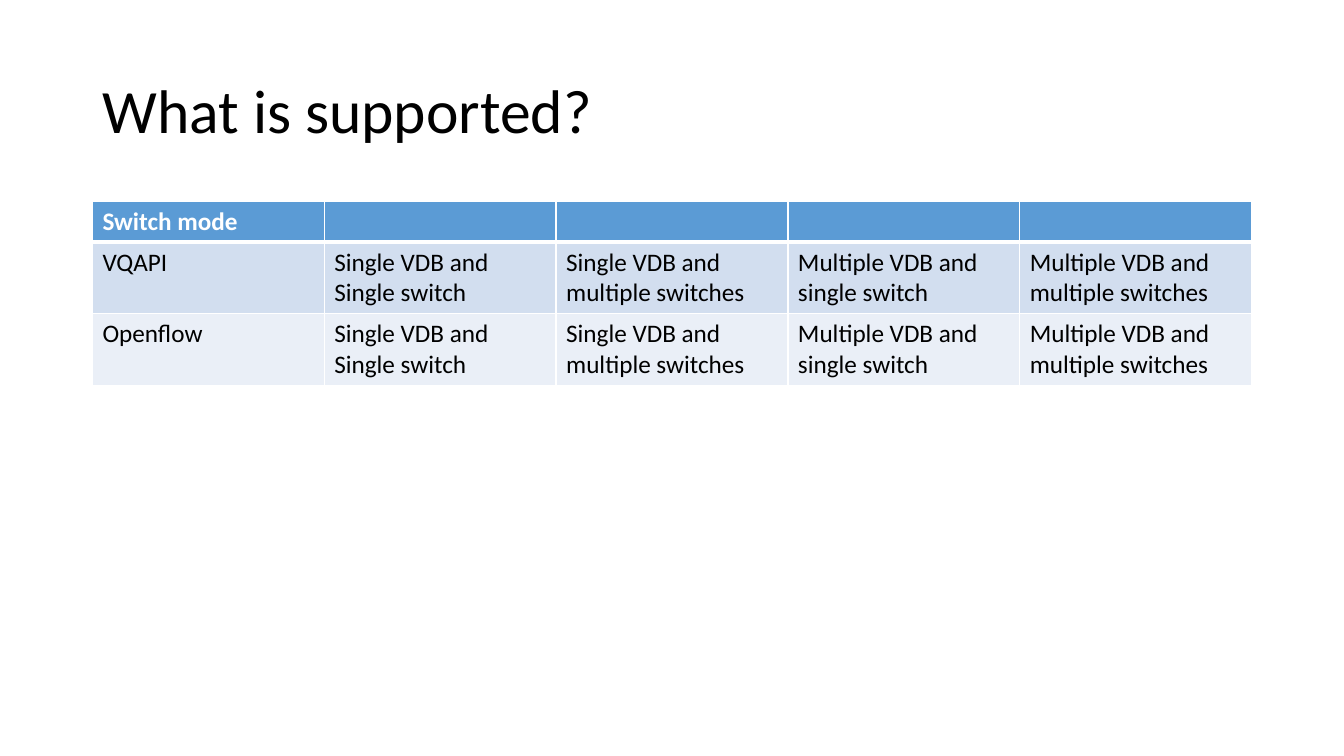
from pptx import Presentation
from pptx.dml.color import RGBColor
from pptx.enum.text import MSO_ANCHOR as Anchor, PP_ALIGN as Align
from pptx.oxml import parse_xml
from pptx.oxml.ns import nsdecls
from pptx.util import Cm, Pt


def color(value):
    """Turn a hex string into a colour."""
    return RGBColor.from_string(value)


class SlideBuilder:
    """Hold the style and the current slide."""

    font = "Calibri"
    black = "000000"
    white = "FFFFFF"
    header_fill = "5B9BD5"
    band_fills = ("D2DEEF", "EAEFF7")

    def __init__(self, presentation):
        """Add a title-only slide."""
        self.slide = presentation.slides.add_slide(presentation.slide_layouts[5])

    def add_run(self, paragraph, text, size, text_color, bold=False):
        """Add one formatted run to a paragraph."""
        run = paragraph.add_run()
        run.text = text
        run.font.name = self.font
        run.font.size = Pt(size)
        run.font.bold = bold
        run.font.color.rgb = color(text_color)

    def add_title(self, text, left, top, width, height):
        """Place and fill the title placeholder."""
        title = self.slide.shapes.title
        title.left, title.top = Cm(left), Cm(top)
        title.width, title.height = Cm(width), Cm(height)
        frame = title.text_frame
        frame.word_wrap = True
        frame.vertical_anchor = Anchor.MIDDLE
        paragraph = frame.paragraphs[0]
        paragraph.alignment = Align.LEFT
        paragraph.line_spacing = 0.9
        self.add_run(paragraph, text, 44, self.black)

    def set_borders(self, cell, top, bottom):
        """Draw the white borders of a cell, with widths in points."""
        properties = cell._tc.get_or_add_tcPr()
        widths = {"L": 1, "R": 1, "T": top, "B": bottom}
        for index, (side, width) in enumerate(widths.items()):
            border = parse_xml(
                f'<a:ln{side} {nsdecls("a")} w="{Pt(width)}"><a:solidFill>'
                f'<a:srgbClr val="{self.white}"/></a:solidFill></a:ln{side}>'
            )
            properties.insert(index, border)

    def add_table(self, rows, left, top, width, row_heights):
        """Add a table with a header row and banded body rows."""
        frame = self.slide.shapes.add_table(
            len(rows), len(rows[0]), Cm(left), Cm(top), Cm(width), Cm(sum(row_heights))
        )
        table = frame.table
        for row_index, texts in enumerate(rows):
            table.rows[row_index].height = Cm(row_heights[row_index])
            is_header = row_index == 0
            fill = self.header_fill if is_header else self.band_fills[(row_index - 1) % 2]
            text_color = self.white if is_header else self.black
            for column_index, text in enumerate(texts):
                cell = table.cell(row_index, column_index)
                cell.fill.solid()
                cell.fill.fore_color.rgb = color(fill)
                self.set_borders(cell, 3 if row_index == 1 else 1, 3 if is_header else 1)
                if text:
                    self.add_run(cell.text_frame.paragraphs[0], text, 18, text_color, is_header)


def main():
    """Build and save the presentation."""
    presentation = Presentation()
    presentation.slide_width, presentation.slide_height = Cm(33.87), Cm(19.05)
    builder = SlideBuilder(presentation)
    builder.add_title("What is supported?", 2.33, 1.01, 29.21, 3.68)
    setups = [
        "Single VDB and Single switch",
        "Single VDB and multiple switches",
        "Multiple VDB and single switch",
        "Multiple VDB and multiple switches",
    ]
    rows = [["Switch mode"] + [""] * len(setups)]
    rows += [[mode] + setups for mode in ("VQAPI", "Openflow")]
    builder.add_table(rows, 2.33, 5.07, 29.21, [1.03, 1.8, 1.8])
    presentation.save("out.pptx")


if __name__ == "__main__":
    main()
